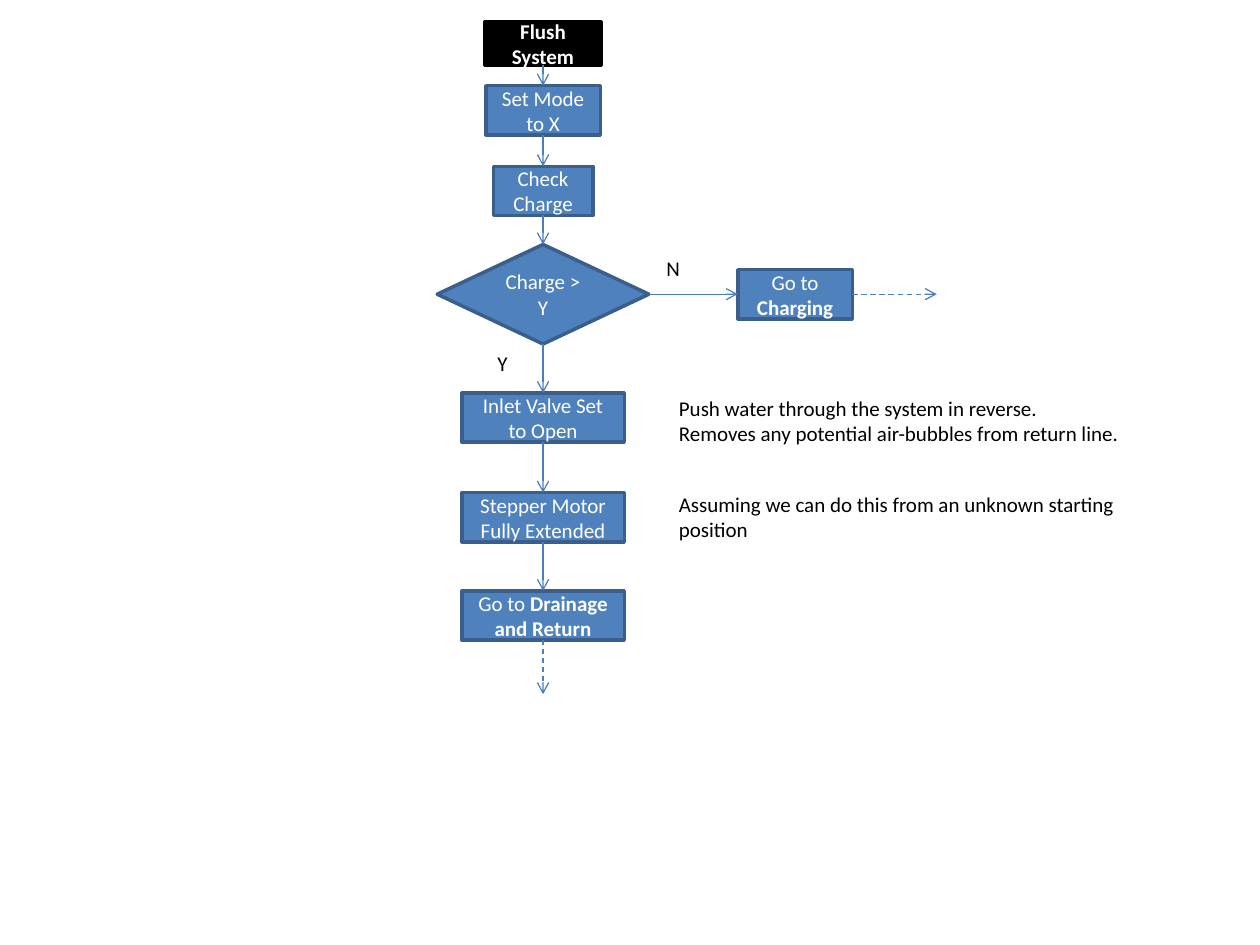
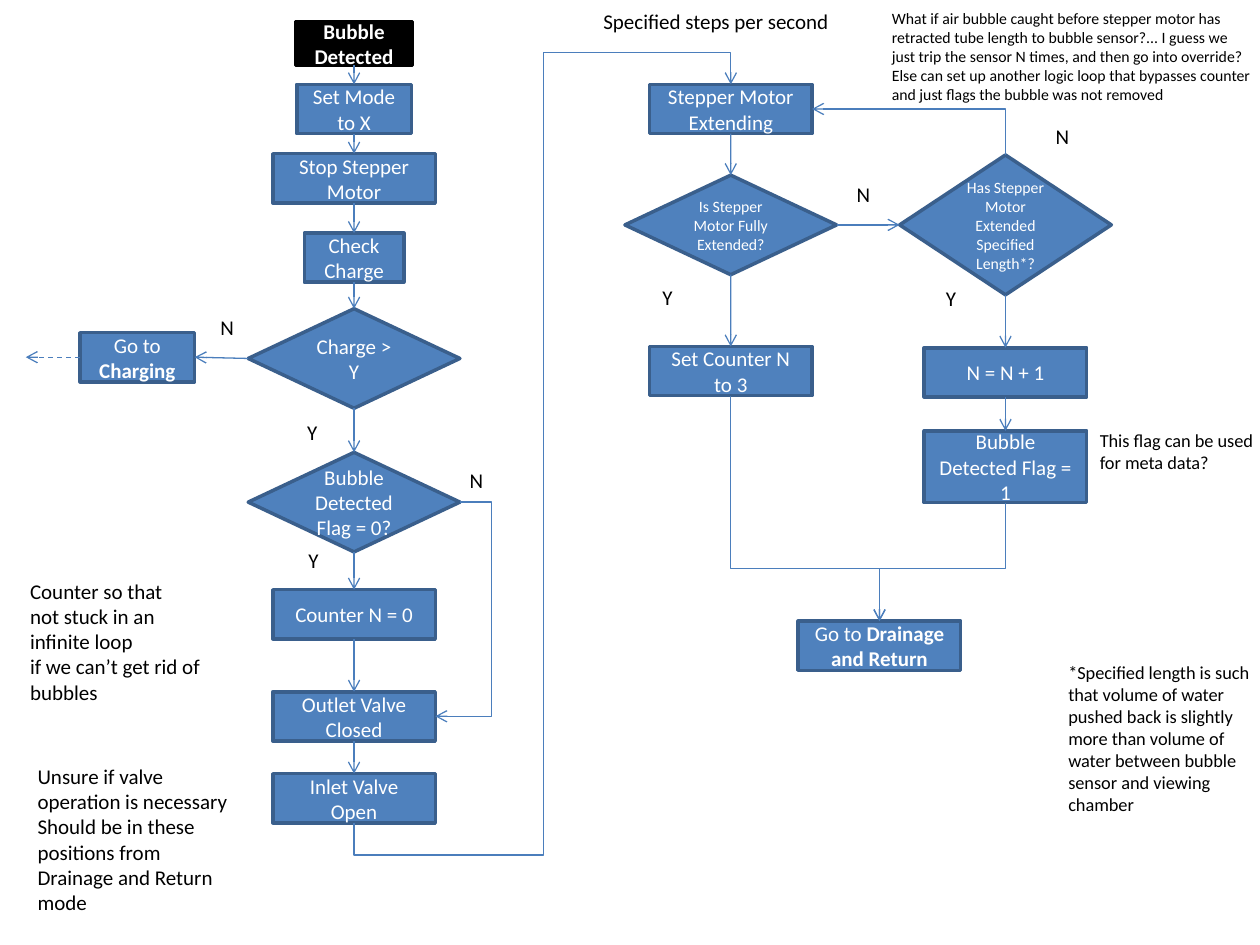
from lxml import etree
from pptx import Presentation
from pptx.dml.color import RGBColor
from pptx.enum import dml, shapes, text
from pptx.oxml.ns import qn
from pptx.util import Inches, Pt

COLORS = {"start": "000000", "step": "4F81BD", "outline": "3A5F8C",
          "arrow": "4B7EBC", "on_fill": "FFFFFF", "note": "000000"}
FONT = "Calibri"
TOP, LEFT, BOTTOM, RIGHT = range(4)

# Kind of step: preset, width, height, text size
RECT = shapes.MSO_SHAPE.RECTANGLE
DIAMOND = shapes.MSO_SHAPE.FLOWCHART_DECISION
KINDS = {
    "start": (RECT, 0.93, 0.35, 12),
    "narrow": (RECT, 0.79, 0.39, 12),
    "medium": (RECT, 0.91, 0.39, 12),
    "wide": (RECT, 1.29, 0.39, 12),
    "tall": (RECT, 1.29, 0.57, 12),
    "decision": (DIAMOND, 1.68, 0.79, 12),
    "small decision": (DIAMOND, 1.68, 0.79, 9),
    "tall decision": (DIAMOND, 1.68, 1.11, 9),
}


def color(name):
    return RGBColor.from_string(COLORS[name])


def style_font(font, size, color_name, bold=None):
    font.name = FONT
    font.size = Pt(size)
    font.color.rgb = color(color_name)
    font.bold = bold


def add_step(slide, center_x, wording, kind, top):
    """Add a flowchart step; wording after a "|" is bold."""
    preset, width, height, size = KINDS[kind]
    step = slide.shapes.add_shape(preset, Inches(center_x - width / 2), Inches(top),
                                  Inches(width), Inches(height))
    is_start = kind == "start"
    step.shadow.inherit = False
    step.fill.solid()
    step.fill.fore_color.rgb = color("start" if is_start else "step")
    step.line.color.rgb = color("start" if is_start else "outline")
    step.line.width = Pt(2)

    frame = step.text_frame
    frame.word_wrap = True
    frame.vertical_anchor = text.MSO_ANCHOR.MIDDLE
    paragraph = frame.paragraphs[0]
    paragraph.alignment = text.PP_ALIGN.CENTER
    plain, _, strong = wording.partition("|")
    for part, bold in ((plain, is_start), (strong, True)):
        if part:
            run = paragraph.add_run()
            run.text = part
            style_font(run.font, size, "on_fill", bold)
    return step


def style_arrow(arrow, dashed=False):
    arrow.line.color.rgb = color("arrow")
    arrow.line.width = Pt(0.75)
    if dashed:
        arrow.line.dash_style = dml.MSO_LINE.DASH
    properties = arrow._element.spPr
    etree.SubElement(properties.find(qn("a:ln")), qn("a:tailEnd"), type="arrow")
    etree.SubElement(properties, qn("a:effectLst"))


def link(slide, source, source_side, target, target_side):
    arrow = slide.shapes.add_connector(shapes.MSO_CONNECTOR.STRAIGHT, 0, 0, 0, 0)
    arrow.begin_connect(source, source_side)
    arrow.end_connect(target, target_side)
    style_arrow(arrow)


def leave_chart(slide, source, side, dx=0, dy=0):
    """Draw a dashed arrow from a step to another flowchart."""
    x, y = side_middle(source, side)
    arrow = slide.shapes.add_connector(shapes.MSO_CONNECTOR.STRAIGHT, x, y,
                                       x + Inches(dx), y + Inches(dy))
    arrow.begin_connect(source, side)
    style_arrow(arrow, dashed=True)


def side_middle(step, side):
    across, down = {TOP: (1, 0), LEFT: (0, 1), BOTTOM: (1, 2), RIGHT: (2, 1)}[side]
    return step.left + step.width * across // 2, step.top + step.height * down // 2


def elbow(slide, source, source_side, target, target_side, *bends):
    """Draw a bent arrow; bends are slide positions, alternating between axes."""
    start = side_middle(source, source_side)
    end = side_middle(target, target_side)
    dx, dy = end[0] - start[0], end[1] - start[1]
    arrow = slide.shapes.add_connector(shapes.MSO_CONNECTOR.ELBOW, *start, *end)
    style_arrow(arrow)

    first_axis = 1 if source_side in (TOP, BOTTOM) else 0
    if first_axis == 1:
        # The frame of an arrow that starts vertically is turned a quarter
        reverse = dx * dy > 0
        arrow.left = (start[0] + end[0] - abs(dy)) // 2
        arrow.top = (start[1] + end[1] - abs(dx)) // 2
        arrow.width, arrow.height = abs(dy), abs(dx)
        frame = arrow._element.spPr.find(qn("a:xfrm"))
        frame.set("rot", str((270 if reverse else 90) * 60000))
        frame.set("flipH", str(int((dy < 0) != reverse)))
        frame.set("flipV", str(int((dx > 0) != reverse)))

    geometry = arrow._element.spPr.find(qn("a:prstGeom"))
    geometry.set("prst", f"bentConnector{len(bends) + 2}")
    guides = geometry.find(qn("a:avLst"))
    if guides is None:
        guides = etree.SubElement(geometry, qn("a:avLst"))
    for number, bend in enumerate(bends):
        axis = (first_axis + number) % 2
        share = (Inches(bend) - start[axis]) / (end[axis] - start[axis])
        etree.SubElement(guides, qn("a:gd"), name=f"adj{number + 1}",
                         fmla=f"val {round(share * 100000)}")


def add_column(slide, center_x, steps):
    """Stack steps on one centre line and link each to the next."""
    column = [add_step(slide, center_x, *step) for step in steps]
    for upper, lower in zip(column, column[1:]):
        link(slide, upper, BOTTOM, lower, TOP)
    return column


def add_note(slide, left, top, width, height, wording, size=12, wrap=False):
    note = slide.shapes.add_textbox(Inches(left), Inches(top), Inches(width), Inches(height))
    frame = note.text_frame
    frame.word_wrap = wrap
    frame.auto_size = text.MSO_AUTO_SIZE.SHAPE_TO_FIT_TEXT
    frame.text = wording
    for paragraph in frame.paragraphs:
        for run in paragraph.runs:
            style_font(run.font, size, "note")


def add_answers(slide, answers):
    for answer, left, top in answers:
        add_note(slide, left, top, 0.3, 0.3, answer)


def build_flush_system(slide):
    column = add_column(slide, 4.31, [
        ("Flush System", "start", 0.17),
        ("Set Mode to X", "medium", 0.68),
        ("Check Charge", "narrow", 1.32),
        ("Charge > Y", "decision", 1.94),
        ("Inlet Valve Set to Open", "wide", 3.12),
        ("Stepper Motor Fully Extended", "wide", 3.91),
        ("Go to |Drainage and Return", "wide", 4.69),
    ])
    leave_chart(slide, column[-1], BOTTOM, dy=0.43)
    charging = add_step(slide, 6.31, "Go to |Charging", "medium", 2.14)
    link(slide, column[3], RIGHT, charging, LEFT)
    leave_chart(slide, charging, RIGHT, dx=0.67)

    add_answers(slide, [("N", 5.19, 1.98), ("Y", 3.85, 2.73)])
    add_note(slide, 5.29, 3.09, 3.73, 0.5, "Push water through the system in reverse.\v"
             "Removes any potential air-bubbles from return line.")
    add_note(slide, 5.29, 3.85, 3.96, 0.5,
             "Assuming we can do this from an unknown starting position", wrap=True)


def build_bubble_detected(slide):
    *_, charge_check, flag_check, _, outlet, inlet = add_column(slide, 2.81, [
        ("Bubble Detected", "start", 0.17),
        ("Set Mode to X", "medium", 0.67),
        ("Stop Stepper Motor", "wide", 1.22),
        ("Check Charge", "narrow", 1.85),
        ("Charge > Y", "decision", 2.45),
        ("Bubble Detected Flag = 0?", "decision", 3.59),
        ("Counter N = 0", "wide", 4.68),
        ("Outlet Valve Closed", "wide", 5.49),
        ("Inlet Valve Open", "wide", 6.14),
    ])
    extending, extended_check, set_counter = add_column(slide, 5.8, [
        ("Stepper Motor Extending", "wide", 0.67),
        ("Is Stepper Motor Fully Extended?", "small decision", 1.39),
        ("Set Counter N to 3", "wide", 2.75),
    ])
    length_check, _, set_flag = add_column(slide, 7.98, [
        ("Has Stepper Motor Extended Specified Length*?", "tall decision", 1.23),
        ("N = N + 1", "wide", 2.76),
        ("Bubble Detected Flag = 1", "tall", 3.42),
    ])
    charging = add_step(slide, 1.09, "Go to |Charging", "medium", 2.64)
    drainage = add_step(slide, 6.98, "Go to |Drainage and Return", "wide", 4.93)

    link(slide, charge_check, LEFT, charging, RIGHT)
    leave_chart(slide, charging, LEFT, dx=-0.43)
    link(slide, extended_check, RIGHT, length_check, LEFT)
    elbow(slide, flag_check, RIGHT, outlet, RIGHT, 3.9)
    elbow(slide, inlet, BOTTOM, extending, TOP, 6.79, 4.31, 0.42)
    elbow(slide, length_check, TOP, extending, RIGHT)
    for branch_end in (set_counter, set_flag):
        elbow(slide, branch_end, BOTTOM, drainage, TOP, 4.51)

    add_answers(slide, [
        ("N", 1.65, 2.45), ("Y", 2.34, 3.28), ("N", 3.63, 3.66), ("Y", 2.35, 4.3),
        ("N", 6.7, 1.39), ("Y", 5.16, 2.21), ("N", 8.28, 0.93), ("Y", 7.41, 2.22),
    ])
    add_note(slide, 4.69, 0.02, 2.01, 0.3, "Specified steps per second")
    add_note(slide, 6.98, 0.02, 3.1, 0.86,
             "What if air bubble caught before stepper motor has\v"
             "retracted tube length to bubble sensor?... I guess we\v"
             "just trip the sensor N times, and then go into override?\n"
             "Else can set up another logic loop that bypasses counter\v"
             "and just flags the bubble was not removed", size=9)
    add_note(slide, 0.14, 4.54, 1.67, 1.11, "Counter so that\vnot stuck in an infinite loop\v"
             "if we can’t get rid of bubbles", wrap=True)
    add_note(slide, 0.2, 6.01, 1.73, 1.31, "Unsure if valve\voperation is necessary\v"
             "Should be in these\vpositions from\vDrainage and Return\vmode")
    add_note(slide, 8.63, 3.36, 1.65, 0.45, "This flag can be used\vfor meta data?",
             size=10.5, wrap=True)
    add_note(slide, 8.38, 5.2, 1.65, 1.34,
             "*Specified length is such that volume of water pushed back is slightly more "
             "than volume of water between bubble sensor and viewing chamber",
             size=10.5, wrap=True)


def main():
    deck = Presentation()
    deck.slide_width, deck.slide_height = Inches(10), Inches(7.5)
    for build in (build_flush_system, build_bubble_detected):
        build(deck.slides.add_slide(deck.slide_layouts[6]))
    deck.save("out.pptx")


if __name__ == "__main__":
    main()
